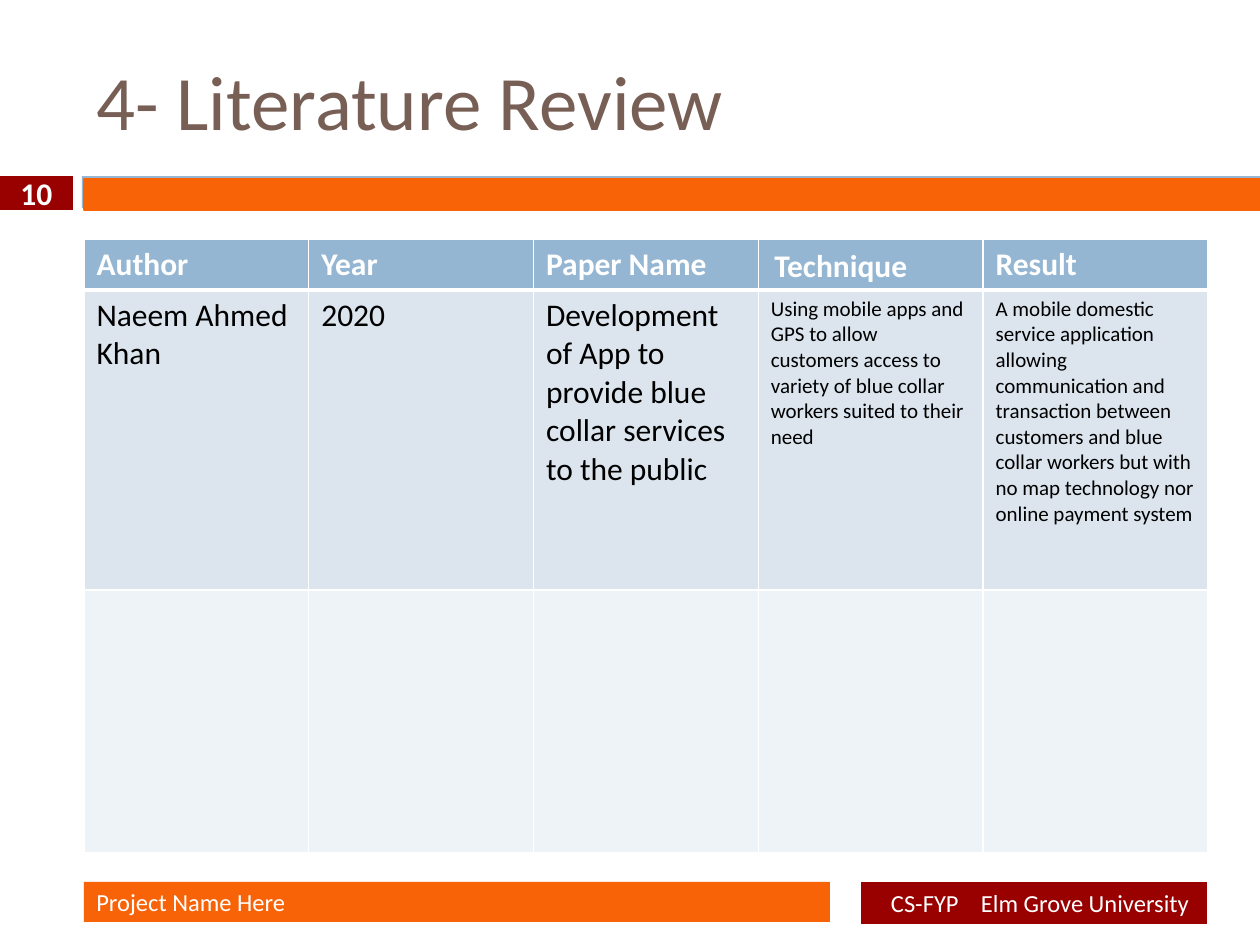
from dataclasses import dataclass

from lxml import etree
from pptx import Presentation
from pptx.dml.color import RGBColor
from pptx.enum.shapes import MSO_SHAPE
from pptx.enum.text import MSO_ANCHOR, PP_ALIGN
from pptx.oxml.ns import qn
from pptx.util import Emu, Pt

RECT = MSO_SHAPE.RECTANGLE
MIDDLE = MSO_ANCHOR.MIDDLE
LEFT, CENTER, RIGHT = PP_ALIGN.LEFT, PP_ALIGN.CENTER, PP_ALIGN.RIGHT
SCALE = 914400 / 126


@dataclass(frozen=True)
class Theme:
    """Colours, font and type sizes."""
    font: str = "Calibri"
    brown: str = "775F55"
    orange: str = "F86308"
    red: str = "990000"
    blue: str = "94B6D2"
    band: str = "DCE5EE"
    pale: str = "EEF3F7"
    white: str = "FFFFFF"
    black: str = "000000"
    title: int = 44
    large: int = 18
    label: int = 14
    small: int = 12


def px(n):
    """Turn picture pixels into EMU."""
    return Emu(round(n * SCALE))


def paint(fill, color):
    """Give a fill one solid colour."""
    fill.solid()
    fill.fore_color.rgb = RGBColor.from_string(color)


def apply(item, values):
    """Set attributes from a dict."""
    for name, value in values.items():
        setattr(item, name, value)


def edge(cell, below):
    """Draw the cell borders, with the lower one given in points."""
    props = cell._tc.get_or_add_tcPr()
    sides = {"lnL": 1, "lnR": 1, "lnT": 1, "lnB": below}
    for spot, (tag, width) in enumerate(sides.items()):
        line = etree.Element(qn("a:" + tag), w=str(int(Pt(width))))
        fill = etree.SubElement(line, qn("a:solidFill"))
        etree.SubElement(fill, qn("a:srgbClr"), val=Theme.white)
        props.insert(spot, line)


class Deck:
    """Holds the style and the current slide."""

    def __init__(self, theme):
        """Start a file with one slide."""
        self.theme = theme
        self.file = Presentation()
        self.file.slide_width, self.file.slide_height = px(1260), px(945)
        self.slide = self.file.slides.add_slide(self.file.slide_layouts[5])

    def text(self, frame, words, size, color, bold=False, align=LEFT):
        """Add one styled run to a frame and return it."""
        para = frame.paragraphs[0]
        para.alignment = align
        run = para.add_run()
        run.text = words
        apply(run.font, {"name": self.theme.font, "size": Pt(size), "bold": bold})
        run.font.color.rgb = RGBColor.from_string(color)
        return run

    def title(self, box, words):
        """Place and fill the title."""
        shape = self.slide.shapes.title
        apply(shape, dict(zip(("left", "top", "width", "height"), map(px, box))))
        shape.text_frame.vertical_anchor = MIDDLE
        self.text(shape.text_frame, words, self.theme.title, self.theme.brown)

    def bar(self, box, color, line=None):
        """Add a plain bar and return its text frame."""
        shape = self.slide.shapes.add_shape(RECT, *map(px, box))
        shape.shadow.inherit = False
        paint(shape.fill, color)
        if line:
            paint(shape.line.fill, color)
            shape.line.width = Pt(line)
        else:
            shape.line.fill.background()
        frame = shape.text_frame
        apply(frame, {"word_wrap": True, "vertical_anchor": MIDDLE})
        return frame

    def table(self, box, heights, fills, rows):
        """Add a table and return it; cells hold (words, size) pairs."""
        count = len(rows[0])
        shape = self.slide.shapes.add_table(len(fills), count, *map(px, box))
        grid = shape.table
        for col in grid.columns:
            col.width = px(box[2] / count)
        for y, (height, color) in enumerate(zip(heights, fills)):
            grid.rows[y].height = px(height)
            head = y == 0
            for cell in grid.rows[y].cells:
                paint(cell.fill, color)
                edge(cell, 3 if head else 1)
            if y < len(rows):
                ink = self.theme.white if head else self.theme.black
                for cell, (words, size) in zip(grid.rows[y].cells, rows[y]):
                    self.text(cell.text_frame, words, size, ink, head)
        return grid


def main():
    """Build the slide."""
    look = Theme()
    deck = Deck(look)

    deck.bar((82, 176, 1178, 32), look.blue)
    deck.bar((84, 179, 1176, 31), look.orange, 1.5)
    deck.title((84, 32, 1050, 136), "4- Literature Review")

    project = deck.bar((84, 882, 746, 40), look.orange)
    deck.text(project, "Project Name Here", look.label, look.white)

    school = deck.bar((861, 882, 346, 42), look.red)
    school.margin_right = px(18)
    parts = [deck.text(school, words, look.label, look.white, align=RIGHT)
             for words in ("CS-FYP", " ", "Elm Grove University")]
    parts[1]._r.get_or_add_rPr().set("spc", "950")

    number = deck.bar((0, 176, 73, 34), look.red)
    deck.text(number, "10", look.large, look.white, True, CENTER)

    heads = ("Author", "Year", "Paper Name", "Technique", "Result")
    study = (
        ("Naeem Ahmed Khan", look.large),
        ("2020", look.large),
        ("Development of App to provide blue collar services to the public",
         look.large),
        ("Using mobile apps and GPS to allow customers access to variety of "
         "blue collar workers suited to their need", look.small),
        ("A mobile domestic service application allowing communication and "
         "transaction between customers and blue collar workers but with no "
         "map technology nor online payment system", look.small),
    )
    grid = deck.table((84, 239, 1124, 614), (51, 300, 263),
                      (look.blue, look.band, look.pale),
                      ([(head, look.large) for head in heads], study))
    apply(grid.cell(0, 3), {"margin_left": px(16), "margin_top": px(8),
                            "margin_bottom": px(0)})
    deck.file.save("out.pptx")


main()
